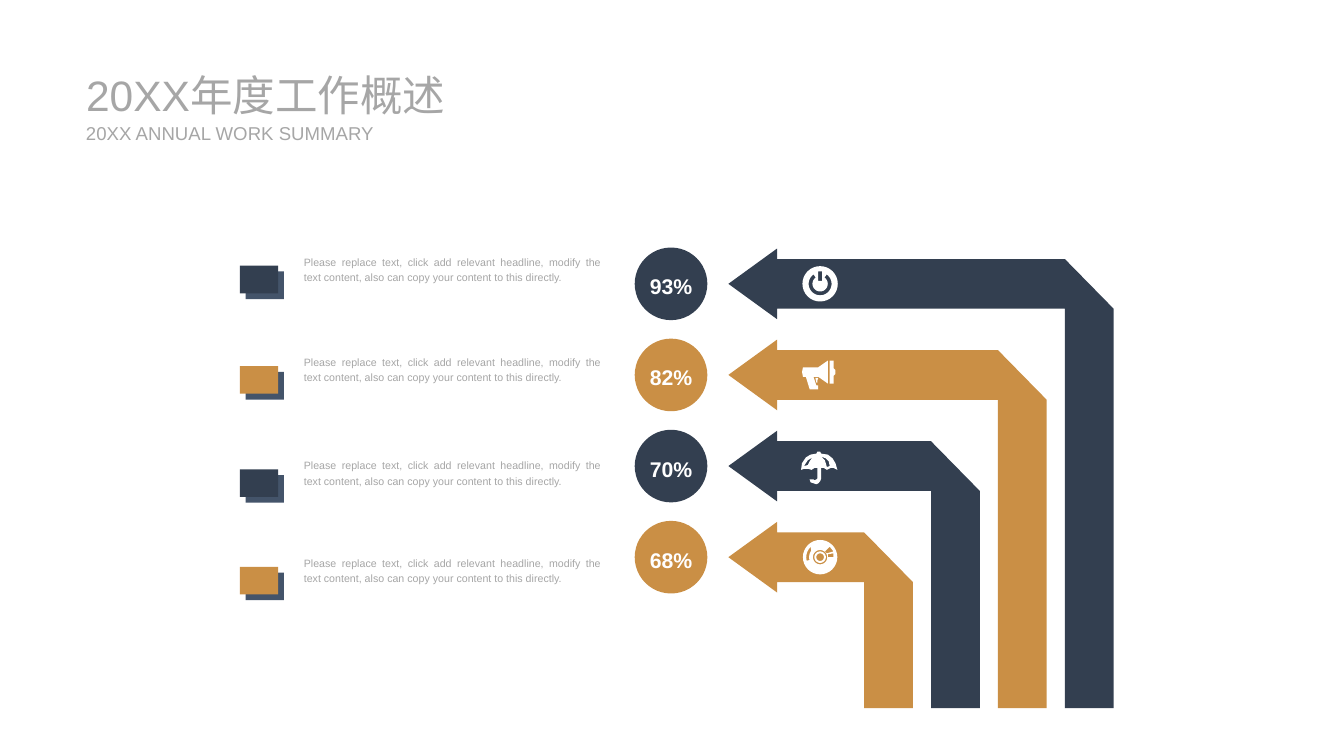
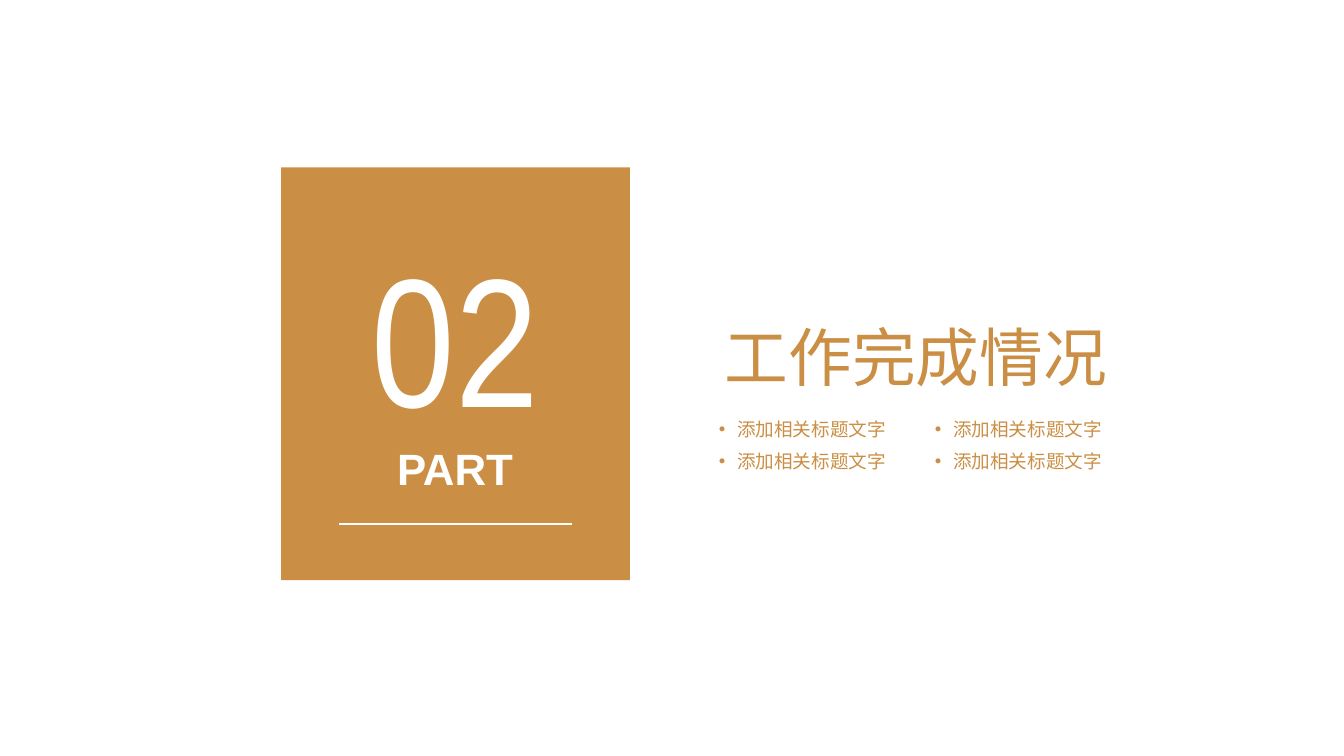
from math import cos, radians, sin

from lxml.etree import SubElement
from pptx import Presentation
from pptx.dml.color import RGBColor
from pptx.enum.shapes import MSO_CONNECTOR, MSO_SHAPE
from pptx.enum.text import MSO_ANCHOR, MSO_AUTO_SIZE, PP_ALIGN
from pptx.oxml.ns import qn
from pptx.util import Inches, Pt

COLORS = {
    "navy": "333F50",
    "gold": "CA8F45",
    "slate": "44546A",
    "gray": "A6A6A6",
    "white": "FFFFFF",
}
TITLE_ONLY = 5
CAPTION = (
    "Please replace text, click add relevant headline, modify the text content, "
    "also can copy your content to this directly."
)
TOPIC = "添加相关标题文字"
ARROW_ROWS = [
    ("93%", "navy", "power"),
    ("82%", "gold", "megaphone"),
    ("70%", "navy", "umbrella"),
    ("68%", "gold", "disc"),
]
CAPTION_TOPS = [2.6, 3.65, 4.73, 5.75]


def rgb(name):
    """Return the named palette colour."""
    return RGBColor.from_string(COLORS[name])


def arc(radius, start, end, steps=32):
    """Return points along an arc around the origin, angles in degrees."""
    angles = [radians(start + (end - start) * step / steps) for step in range(steps + 1)]
    return [(radius * cos(angle), radius * sin(angle)) for angle in angles]


ICONS = {
    "power": [
        arc(0.185, 0, 360),
        [(-0.02, -0.13), (0.02, -0.13), (0.02, -0.03), (-0.02, -0.03)],
        arc(0.12, -55, 235) + arc(0.08, 235, -55),
    ],
    "megaphone": [
        [(-0.18, -0.08), (-0.02, -0.08), (0.08, -0.15), (0.08, 0.09), (-0.02, 0.02),
         (-0.07, 0.02), (-0.04, 0.11), (-0.02, 0.11), (-0.02, 0.15), (-0.11, 0.15),
         (-0.15, 0.02), (-0.18, 0.02), (-0.19, -0.03)],
        [(0.1, -0.15), (0.14, -0.15), (0.14, -0.07), (0.16, -0.05), (0.16, -0.01),
         (0.14, 0.01), (0.14, 0.09), (0.1, 0.09)],
        [(-0.02, 0.03), (-0.05, 0.03), (-0.04, 0.08), (-0.03, 0.08), (-0.03, 0.06)],
    ],
    "umbrella": [
        [(-0.11, 0.14), (-0.07, 0.14), (-0.06, 0.15), (-0.04, 0.14), (-0.03, 0.13),
         (-0.03, 0.02), (-0.06, 0.02), (-0.09, 0.04), (-0.12, 0.03), (-0.17, 0.03),
         (-0.2, 0.04), (-0.19, -0.03), (-0.15, -0.09), (-0.1, -0.12), (-0.04, -0.13),
         (-0.03, -0.15), (0, -0.15), (0.01, -0.13), (0.08, -0.12), (0.13, -0.08),
         (0.16, -0.03), (0.18, 0.04), (0.14, 0.02), (0.11, 0.02), (0.07, 0.04),
         (0.04, 0.02), (0.01, 0.02), (0.01, 0.13), (0, 0.16), (-0.02, 0.18),
         (-0.04, 0.19), (-0.07, 0.18), (-0.1, 0.17)],
        [(0.07, 0.01), (0.1, 0), (0.09, -0.05), (0.06, -0.08), (0.01, -0.1), (0.05, -0.06)],
        [(-0.17, 0), (-0.13, -0.01), (-0.11, -0.05), (-0.08, -0.09), (-0.13, -0.06)],
    ],
    "disc": [
        arc(0.18, 0, 360),
        arc(0.075, 0, 360),
        arc(0.06, 0, 360),
        arc(0.04, 0, 360),
        arc(0.145, 165, 228) + arc(0.115, 215, 165),
        [(0.05, -0.06), (0.07, -0.04), (0.14, -0.06), (0.1, -0.11)],
        [(0.08, -0.03), (0.08, 0), (0.14, 0), (0.14, -0.04)],
    ],
}


def paint(shape, color):
    """Give a shape a flat fill with no line or shadow."""
    shape.fill.solid()
    shape.fill.fore_color.rgb = rgb(color)
    shape.line.fill.background()
    shape.shadow.inherit = False
    return shape


def add_block(slide, preset, box, color):
    """Add a flat preset shape in the box."""
    return paint(slide.shapes.add_shape(preset, *map(Inches, box)), color)


def add_outline(slide, left, top, contours, color):
    """Add a flat shape whose contours are relative to the given point."""
    placed = [[(Inches(left + x), Inches(top + y)) for x, y in contour] for contour in contours]
    builder = slide.shapes.build_freeform(*placed[0][0], scale=1.0)
    for number, contour in enumerate(placed):
        if number:
            builder.move_to(*contour[0])
        builder.add_line_segments(contour[1:], close=True)
    return paint(builder.convert_to_shape(), color)


def write(shape, text, size, color, font="Arial", bold=False, align=PP_ALIGN.LEFT,
          spacing=1.0, anchor=MSO_ANCHOR.TOP, insets=(0, 0), wrap=True):
    """Write one formatted paragraph into a shape."""
    frame = shape.text_frame
    across, down = map(Inches, insets)
    frame_format = {
        "auto_size": MSO_AUTO_SIZE.NONE, "word_wrap": wrap, "vertical_anchor": anchor,
        "margin_left": across, "margin_right": across,
        "margin_top": down, "margin_bottom": down,
    }
    frame.text = text
    paragraph = frame.paragraphs[0]
    run = paragraph.runs[0]
    formats = [
        (frame, frame_format),
        (paragraph, {"alignment": align, "line_spacing": spacing}),
        (run.font, {"name": font, "size": Pt(size), "bold": bold}),
    ]
    for target, values in formats:
        for name, value in values.items():
            setattr(target, name, value)
    run.font.color.rgb = rgb(color)
    return paragraph


def add_text(slide, box, text, size, color, **options):
    """Add a text box with one paragraph."""
    shape = slide.shapes.add_textbox(*map(Inches, box))
    return write(shape, text, size, color, **options)


def place_title(slide, box, text, size, color, **options):
    """Move the title placeholder into the box and format it."""
    title = slide.shapes.title
    for name, value in zip(("left", "top", "width", "height"), box):
        setattr(title, name, Inches(value))
    write(title, text, size, color, **options)


def add_bullet(paragraph, color, indent):
    """Give a paragraph a coloured bullet with a hanging indent."""
    properties = paragraph._p.get_or_add_pPr()
    properties.set("marL", str(Inches(indent)))
    properties.set("indent", str(-Inches(indent)))
    bullet_color = SubElement(properties, qn("a:buClr"))
    SubElement(bullet_color, qn("a:srgbClr")).set("val", COLORS[color])
    SubElement(properties, qn("a:buFont")).set("typeface", "Arial")
    SubElement(properties, qn("a:buChar")).set("char", "•")


def add_caption(slide, left, top, color):
    """Add a shadowed marker with its caption."""
    for offset, fill in ((0.06, "slate"), (0, color)):
        box = (left + offset, top + 0.18 + offset, 0.4, 0.29)
        add_block(slide, MSO_SHAPE.RECTANGLE, box, fill)
    add_text(slide, (left + 0.57, top, 3.31, 0.42), CAPTION, 8, "gray",
             align=PP_ALIGN.JUSTIFY, spacing=1.2, insets=(0.1, 0.05))


def add_percentage(slide, left, middle, text, color):
    """Add a circle holding a percentage."""
    size = 0.76
    circle = add_block(slide, MSO_SHAPE.OVAL, (left, middle - size / 2, size, size), color)
    write(circle, text, 16, "white", bold=True, align=PP_ALIGN.CENTER, spacing=1.2,
          anchor=MSO_ANCHOR.MIDDLE, wrap=False)


def add_bent_arrow(slide, left, middle, width, drop, color, icon):
    """Add an arrow that points left and bends down, with its icon."""
    bar, half, head = 0.51, 0.26, 0.37
    inner = width - bar
    outline = [
        (0, 0), (bar, -head), (bar, -half), (inner, -half), (width, half), (width, drop),
        (inner, drop), (inner, half), (bar, half), (bar, head),
    ]
    add_outline(slide, left, middle, [outline], color)
    add_outline(slide, left + 0.96, middle, ICONS[icon], "white")


def add_arrow_chart(slide, left, middle, bottom):
    """Add the nested arrows and their percentages."""
    pitch = 2.86 / 3
    for row, (text, color, icon) in enumerate(ARROW_ROWS):
        center = middle + row * pitch
        add_percentage(slide, left, center, text, color)
        add_bent_arrow(slide, left + 0.98, center, 4.03 - 0.7 * row, bottom - center, color, icon)


def build_summary(presentation):
    """Build the annual summary slide."""
    slide = presentation.slides.add_slide(presentation.slide_layouts[TITLE_ONLY])
    place_title(slide, (0.9, 0.72, 4.32, 0.53), "20XX年度工作概述", 32, "gray",
                anchor=MSO_ANCHOR.MIDDLE)
    add_text(slide, (0.9, 1.28, 3.07, 0.23), "20XX ANNUAL WORK SUMMARY", 14, "gray",
             anchor=MSO_ANCHOR.MIDDLE)
    add_arrow_chart(slide, 6.64, 2.97, 7.41)
    for top, (_, color, _) in zip(CAPTION_TOPS, ARROW_ROWS):
        add_caption(slide, 2.51, top, color)


def add_part_panel(slide, left, top):
    """Add the panel with the part number and its rule."""
    add_block(slide, MSO_SHAPE.RECTANGLE, (left, top, 3.65, 4.32), "gold")
    rule = slide.shapes.add_connector(
        MSO_CONNECTOR.STRAIGHT, *map(Inches, (left + 0.61, top + 3.73, left + 3.04, top + 3.73)))
    rule.line.color.rgb = rgb("white")
    rule.line.width = Pt(1.5)
    SubElement(rule._element.spPr, qn("a:effectLst"))
    add_text(slide, (left + 0.42, top + 0.6, 2.81, 2.3), "02", 138, "white",
             font="Arial Narrow", align=PP_ALIGN.CENTER)
    add_text(slide, (left + 0.48, top + 2.87, 2.68, 0.55), "PART", 33, "white", bold=True,
             align=PP_ALIGN.CENTER)


def add_topics(slide, left, top):
    """Add the grid of bulleted topics."""
    for row in range(2):
        for column in range(2):
            box = (left + 2.26 * column, top + 0.34 * row, 2.01, 0.23)
            paragraph = add_text(slide, box, TOPIC, 14, "gold")
            add_bullet(paragraph, "gold", 0.19)


def build_section(presentation):
    """Build the section opening slide."""
    slide = presentation.slides.add_slide(presentation.slide_layouts[TITLE_ONLY])
    add_part_panel(slide, 2.94, 1.75)
    place_title(slide, (7.58, 3.32, 4.72, 0.8), "工作完成情况", 48, "gold")
    add_topics(slide, 7.52, 4.37)


def main():
    """Build and save the presentation."""
    presentation = Presentation()
    presentation.slide_width = Inches(14.06)
    presentation.slide_height = Inches(7.91)
    build_summary(presentation)
    build_section(presentation)
    presentation.save("out.pptx")


if __name__ == "__main__":
    main()
